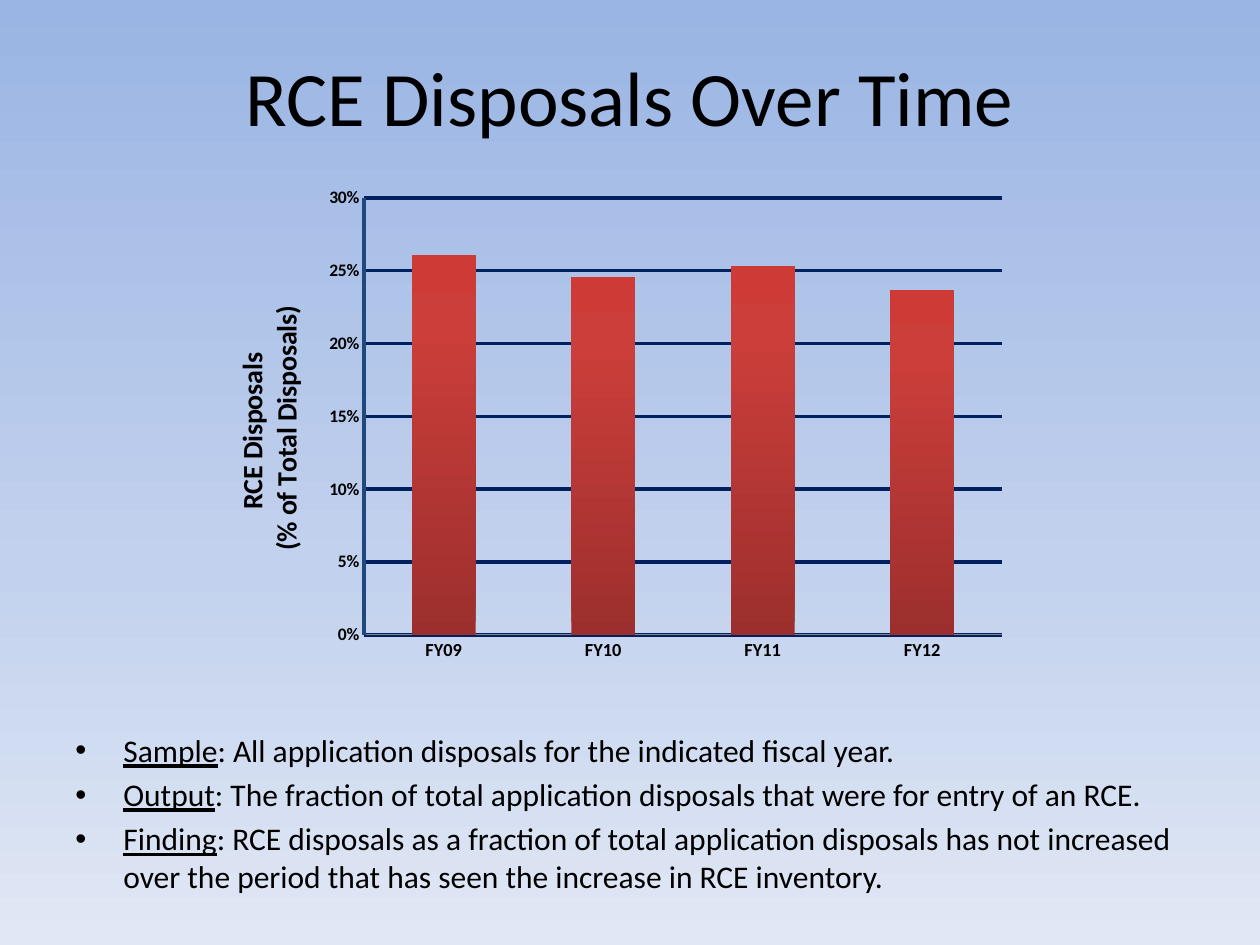
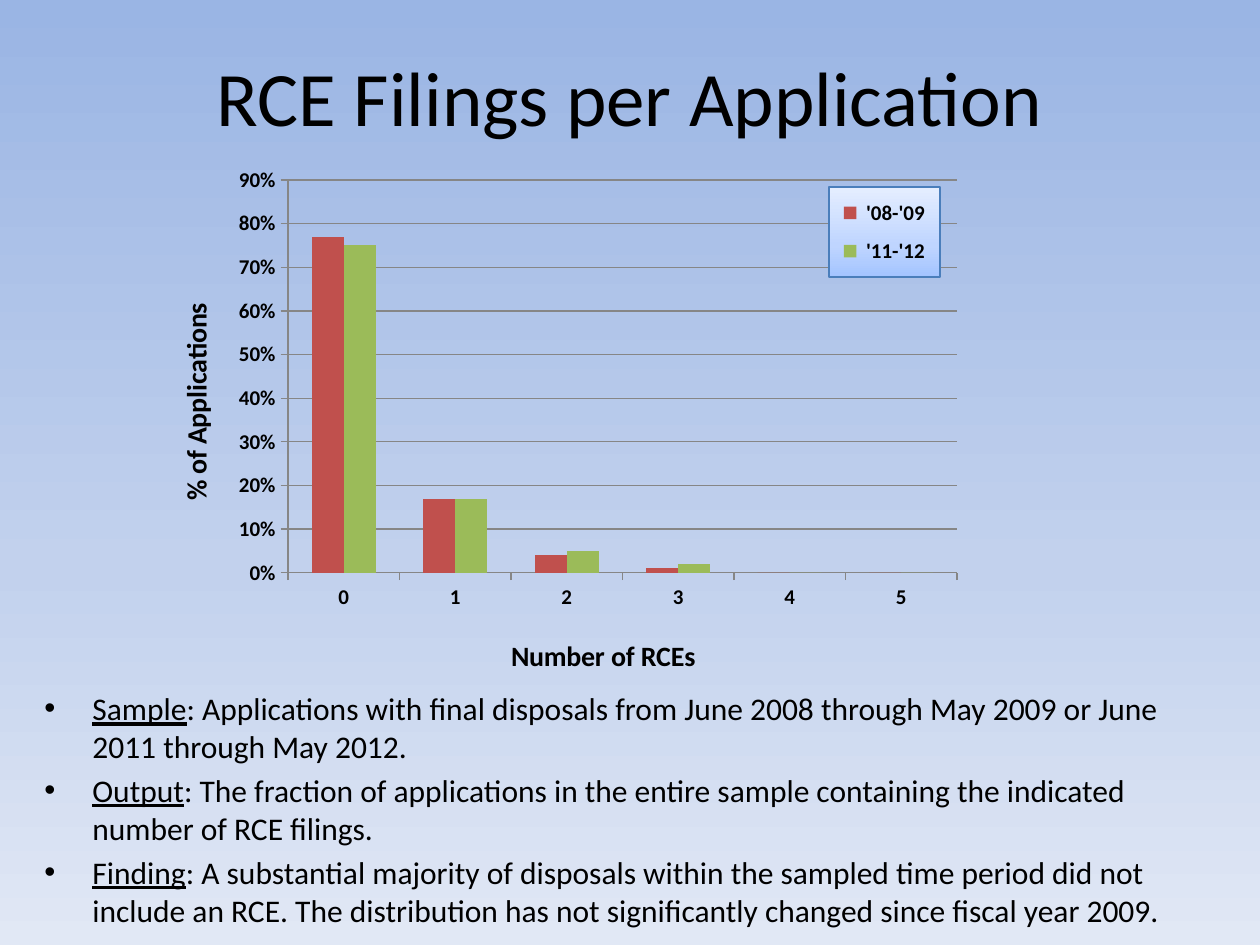
import pptx
import pptx.util
import pptx.oxml
import pptx.oxml.ns
import pptx.dml.color
import pptx.chart.data
import pptx.enum.chart
import pptx.enum.text

qn = pptx.oxml.ns.qn
NS = pptx.oxml.ns.nsdecls("a", "c")
Pt = pptx.util.Pt
rgb = pptx.dml.color.RGBColor.from_string
TICK = pptx.enum.chart.XL_TICK_MARK
PX = 914400 / 126
FONT, BLACK, GRAY = "Calibri", "000000", "868686"
BACKGROUND = [(0, "9AB5E4"), (60, "C2D1ED"), (100, "E1E8F5")]
RED_BARS = [(0, "9C2F2D"), (80, "CB3E3A"), (100, "CE3B37")]
LEGEND_FILL = [(0, "A3C4FF"), (35, "BFD5FF"), (100, "E5EEFF")]


def set_gradient(parent, stops, angle):
    grad = parent.find(".//" + qn("a:gradFill"))
    grad.clear()
    gs = "".join(f'<a:gs pos="{pos * 1000}"><a:srgbClr val="{color}"/></a:gs>' for pos, color in stops)
    grad.append(pptx.oxml.parse_xml(f"<a:gsLst {NS}>{gs}</a:gsLst>"))
    grad.append(pptx.oxml.parse_xml(f'<a:lin {NS} ang="{angle * 60000}" scaled="0"/>'))


def set_layout(element, index, box, frame, inner=""):
    for old in element.findall(qn("c:layout")):
        element.remove(old)
    x, y, w, h = box
    fx, fy, fw, fh = frame
    parts = {"x": (x - fx) / fw, "y": (y - fy) / fh, "w": w / fw, "h": h / fh}
    values = "".join(f'<c:{name} val="{value:.4f}"/>' for name, value in parts.items())
    element.insert(index, pptx.oxml.parse_xml(
        f'<c:layout {NS}><c:manualLayout>{inner}<c:xMode val="edge"/><c:yMode val="edge"/>'
        f"{values}</c:manualLayout></c:layout>"))


slides = [
    dict(
        title="RCE Disposals Over Time", title_h=120, body=(63, 725, 1144, 199),
        notes=[
            ("Sample", ": All application disposals for the indicated fiscal year."),
            ("Output", ": The fraction of total application disposals that were for entry of an RCE."),
            ("Finding", ": RCE disposals as a fraction of total application disposals has not increased "
                        "over the period that has seen the increase in RCE inventory."),
        ],
        frame=(210, 179, 809, 494), plot=(364, 198, 638, 437),
        cats=["FY09", "FY10", "FY11", "FY12"],
        series=[("Series 1", [0.261, 0.246, 0.253, 0.237], RED_BARS)],
        scale=(0.3, 0.05), tick=TICK.NONE, sizes=(10.5, 10),
        value_line=("1F497D", 2), grid=("002060", 2),
        value_title=("RCE Disposals \n(% of Total Disposals)", (230, 302, 60, 243)),
        cat_title=None, legend=None),
    dict(
        title="RCE Filings per Application", title_h=158, body=(32, 683, 1166, 179),
        notes=[
            ("Sample", ": Applications with final disposals from June 2008 through May 2009 or June "
                       "2011 through May 2012."),
            ("Output", ": The fraction of applications in the entire sample containing the indicated "
                       "number of RCE filings."),
            ("Finding", ": A substantial majority of disposals within the sampled time period did not "
                        "include an RCE. The distribution has not significantly changed since fiscal year 2009."),
        ],
        frame=(147, 158, 935, 536), plot=(288, 180, 669, 393),
        cats=["0", "1", "2", "3", "4", "5"],
        series=[(" '08-'09", [0.77, 0.17, 0.04, 0.01, 0, 0], "C0504D"),
                (" '11-'12", [0.75, 0.17, 0.05, 0.02, 0, 0], "9BBB59")],
        scale=(0.9, 0.1), tick=TICK.OUTSIDE, sizes=(12, 12),
        value_line=(GRAY, 0.75), grid=(GRAY, 0.75),
        value_title=("% of Applications", (172, 298, 28, 198)),
        cat_title=("Number of RCEs", (506, 632, 184, 28)),
        legend=(829, 187, 111, 90)),
]

prs = pptx.Presentation()
prs.slide_width = round(1260 * PX)
prs.slide_height = round(945 * PX)

for d in slides:
    s = prs.slides.add_slide(prs.slide_layouts[6])
    s.background.fill.gradient()
    set_gradient(s.background._cSld, BACKGROUND, 90)

    sp = s.shapes.add_textbox(*(round(v * PX) for v in (63, 38, 1134, d["title_h"])))
    tf = sp.text_frame
    tf.word_wrap = True
    tf.margin_top = round(11 * PX)
    p = tf.paragraphs[0]
    p.alignment = pptx.enum.text.PP_ALIGN.CENTER
    r = p.add_run()
    r.text = d["title"]
    r.font.size, r.font.name = Pt(44), FONT
    r.font.color.rgb = rgb(BLACK)

    sp = s.shapes.add_textbox(*(round(v * PX) for v in d["body"]))
    tf = sp.text_frame
    tf.word_wrap = True
    for i, (label, text) in enumerate(d["notes"]):
        p = tf.paragraphs[0] if i == 0 else tf.add_paragraph()
        if i:
            p.space_before = Pt(3.6)
        pPr = p._p.get_or_add_pPr()
        pPr.set("marL", str(round(48 * PX)))
        pPr.set("indent", str(-round(48 * PX)))
        pPr.append(pptx.oxml.parse_xml(f'<a:buFont {NS} typeface="Arial"/>'))
        pPr.append(pptx.oxml.parse_xml(f'<a:buChar {NS} char="•"/>'))
        for part, underline in ((label, True), (text, False)):
            r = p.add_run()
            r.text = part
            r.font.size, r.font.name, r.font.underline = Pt(18), FONT, underline
            r.font.color.rgb = rgb(BLACK)

    data = pptx.chart.data.CategoryChartData(number_format="0%")
    data.categories = d["cats"]
    for name, values, color in d["series"]:
        data.add_series(name, values)
    chart = s.shapes.add_chart(
        pptx.enum.chart.XL_CHART_TYPE.COLUMN_CLUSTERED,
        *(round(v * PX) for v in d["frame"]), data).chart
    chart.has_title = False
    chart.font.size, chart.font.name = Pt(10), FONT
    chart.font.color.rgb = rgb(BLACK)
    plot = chart.plots[0]
    plot.gap_width, plot.overlap, plot.vary_by_categories = 150, 0, False
    for ser, (name, values, color) in zip(plot.series, d["series"]):
        if isinstance(color, str):
            ser.format.fill.solid()
            ser.format.fill.fore_color.rgb = rgb(color)
        else:
            ser.format.fill.gradient()
            set_gradient(ser._element, color, 270)

    cat, val = chart.category_axis, chart.value_axis
    val.minimum_scale = 0
    val.maximum_scale, val.major_unit = d["scale"]
    val.tick_labels.number_format = "0%"
    val.tick_labels.number_format_is_linked = False
    val.has_major_gridlines = True
    for line, (color, width) in (
            (cat.format.line, (GRAY, 0.75)),
            (val.format.line, d["value_line"]),
            (val.major_gridlines.format.line, d["grid"])):
        line.color.rgb = rgb(color)
        line.width = Pt(width)
    for axis, size, title, turn in (
            (cat, d["sizes"][0], d["cat_title"], 0),
            (val, d["sizes"][1], d["value_title"], -90)):
        axis.major_tick_mark = d["tick"]
        axis.minor_tick_mark = TICK.NONE
        font = axis.tick_labels.font
        font.size, font.bold, font.name = Pt(size), True, FONT
        font.color.rgb = rgb(BLACK)
        axis.has_title = title is not None
        if title:
            text, box = title
            tf = axis.axis_title.text_frame
            for i, row in enumerate(text.split("\n")):
                p = tf.paragraphs[0] if i == 0 else tf.add_paragraph()
                r = p.add_run()
                r.text = row
                r.font.size, r.font.bold, r.font.name = Pt(16), True, FONT
                r.font.color.rgb = rgb(BLACK)
            element = axis.axis_title._element
            body = element.find(".//" + qn("a:bodyPr"))
            body.set("rot", str(turn * 60000))
            body.set("vert", "horz")
            set_layout(element, 1, box, d["frame"])

    plot_area = chart._chartSpace.find(".//" + qn("c:plotArea"))
    set_layout(plot_area, 0, d["plot"], d["frame"], '<c:layoutTarget val="inner"/>')

    chart.has_legend = d["legend"] is not None
    if d["legend"]:
        legend = chart.legend
        legend.position = pptx.enum.chart.XL_LEGEND_POSITION.RIGHT
        legend.include_in_layout = False
        legend.font.size, legend.font.bold, legend.font.name = Pt(12), True, FONT
        legend.font.color.rgb = rgb(BLACK)
        element = legend._element
        set_layout(element, 1, d["legend"], d["frame"])
        element.find(qn("c:txPr")).addprevious(pptx.oxml.parse_xml(
            f'<c:spPr {NS}><a:gradFill/><a:ln w="9525"><a:solidFill><a:srgbClr val="4A7EBB"/>'
            "</a:solidFill></a:ln></c:spPr>"))
        set_gradient(element, LEGEND_FILL, 270)

prs.save("out.pptx")
